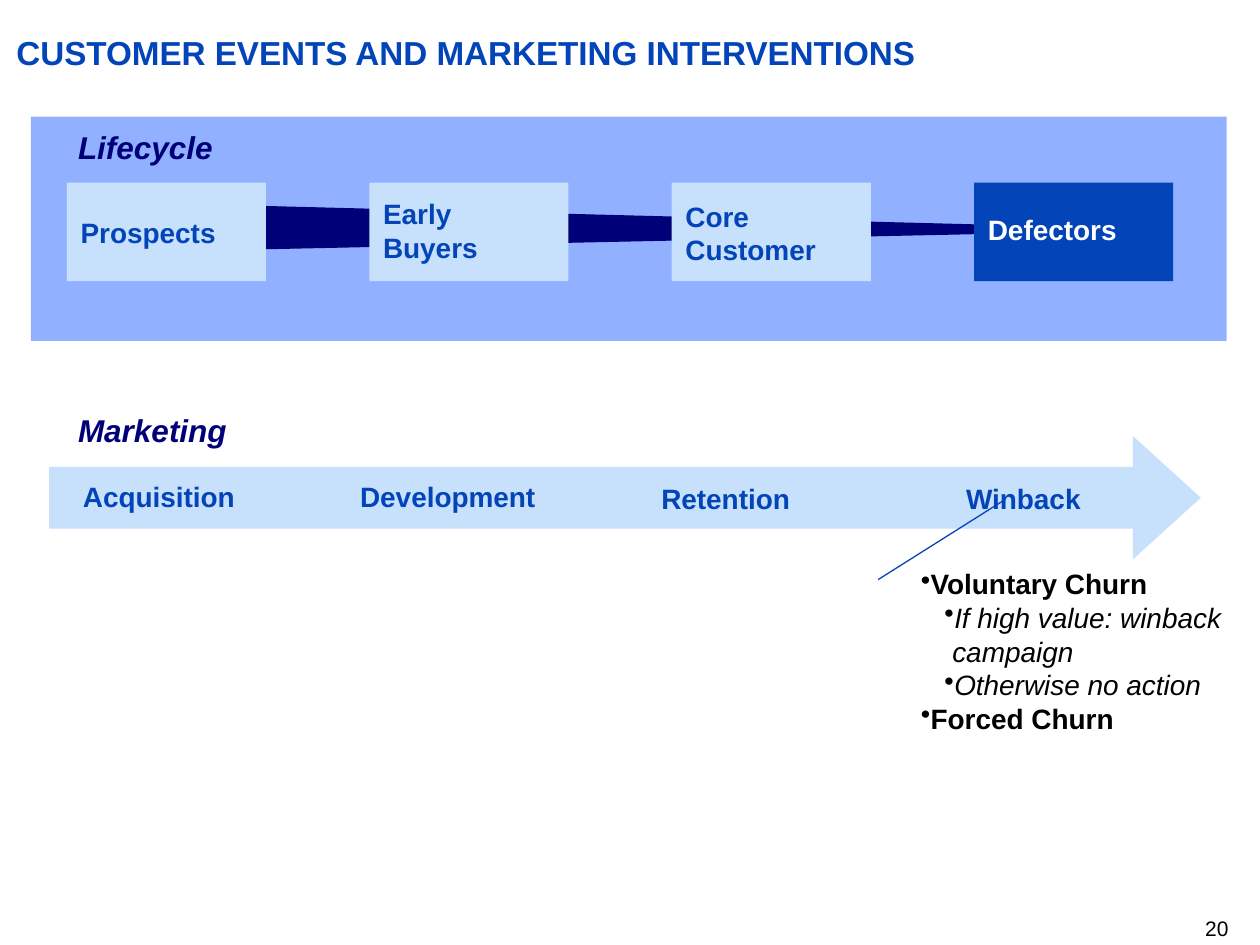
from dataclasses import dataclass
from typing import NamedTuple

from lxml import etree
from pptx import Presentation
from pptx.dml.color import RGBColor
from pptx.enum.shapes import MSO_CONNECTOR, MSO_SHAPE
from pptx.enum.text import MSO_ANCHOR, MSO_AUTO_SIZE, PP_ALIGN
from pptx.oxml.ns import qn
from pptx.util import Pt

RECTANGLE = MSO_SHAPE.RECTANGLE
TRIANGLE = MSO_SHAPE.ISOSCELES_TRIANGLE
RIGHT_ARROW = MSO_SHAPE.RIGHT_ARROW
STRAIGHT = MSO_CONNECTOR.STRAIGHT
TOP = MSO_ANCHOR.TOP
FIT_SHAPE = MSO_AUTO_SIZE.SHAPE_TO_FIT_TEXT
LEFT, RIGHT = PP_ALIGN.LEFT, PP_ALIGN.RIGHT
TITLE_ONLY = 5


@dataclass(frozen=True)
class Theme:
    font: str = "Arial"
    blue: str = "0344B9"
    navy: str = "000078"
    pale: str = "C7E0FB"
    panel: str = "91B0FF"
    white: str = "FFFFFF"
    black: str = "000000"
    title_size: float = 19
    heading_size: float = 18
    body_size: float = 16
    number_size: float = 12
    line_width: float = 0.75


THEME = Theme()


class Box(NamedTuple):
    left: float
    top: float
    width: float
    height: float

    def lengths(self) -> tuple:
        return tuple(Pt(value) for value in self)


class Stage(NamedTuple):
    text: str
    label_top: float
    fill: str = THEME.pale
    color: str = THEME.blue


class Activity(NamedTuple):
    text: str
    box: Box


class Bullet(NamedTuple):
    text: str
    indent: float
    bold: bool = False
    italic: bool = False


STAGE_BOX = Box(38.2, 104.4, 113.8, 56.2)
STAGE_PITCH = 172.8
LABEL_INSET = 7.9
STAGES = [
    Stage("Prospects", 123.1),
    Stage("Early \vBuyers", 112.3),
    Stage("Core Customer", 113.8),
    Stage("Defectors", 121.7, THEME.blue, THEME.white),
]
HEADINGS = {"Lifecycle": 73.4, "Marketing": 234.7}
ACTIVITIES = [
    Activity("Acquisition", Box(40.3, 270.7, 110.2, 26.6)),
    Activity("Development", Box(198.7, 270.7, 139, 26.6)),
    Activity("Retention", Box(370.8, 271.6, 139, 26.6)),
    Activity("Winback", Box(545, 271.6, 139, 26.6)),
]
BULLET_HANG = 4.5
BULLETS = [
    Bullet("Voluntary Churn", 4.5, bold=True),
    Bullet("If high value: winback campaign", 18, italic=True),
    Bullet("Otherwise no action", 18, italic=True),
    Bullet("Forced Churn", 4.5, bold=True),
]


def write(paragraph, text: str, *, size: float = THEME.body_size, color: str = THEME.blue,
          bold: bool = True, italic: bool = False, align=LEFT) -> None:
    paragraph.text = text
    paragraph.alignment = align
    for run in paragraph.runs:
        font = run.font
        font.name, font.size = THEME.font, Pt(size)
        font.bold, font.italic = bold, italic
        font.color.rgb = RGBColor.from_string(color)


def prepare_frame(shape, padded: bool = False):
    """Wrap and top-align the text; only padded frames keep default margins."""
    frame = shape.text_frame
    frame.word_wrap = True
    frame.auto_size = FIT_SHAPE
    frame.vertical_anchor = TOP
    if not padded:
        frame.margin_left = frame.margin_right = frame.margin_top = frame.margin_bottom = 0
    return frame


def add_text(slide, box: Box, text: str, padded: bool = False, **text_format) -> None:
    frame = prepare_frame(slide.shapes.add_textbox(*box.lengths()), padded)
    write(frame.paragraphs[0], text, **text_format)


def add_filled(slide, kind, box: Box, fill: str):
    shape = slide.shapes.add_shape(kind, *box.lengths())
    shape.shadow.inherit = False
    shape.fill.solid()
    shape.fill.fore_color.rgb = RGBColor.from_string(fill)
    shape.line.fill.background()
    return shape


def add_title(slide, text: str) -> None:
    title = slide.shapes.title
    title.left, title.top, title.width, title.height = Box(9.4, 18.7, 692.6, 23).lengths()
    write(prepare_frame(title).paragraphs[0], text, size=THEME.title_size)


def add_funnel(slide) -> None:
    """Add the narrowing wedge that runs behind the lifecycle stages."""
    funnel = add_filled(slide, TRIANGLE, Box(356.4, -160.6, 27.4, 581), THEME.navy)
    funnel.rotation = 90
    funnel.adjustments[0] = 0.55
    funnel.line.color.rgb = RGBColor.from_string(THEME.navy)
    funnel.line.width = Pt(THEME.line_width)


def add_stage(slide, index: int, stage: Stage) -> None:
    box = STAGE_BOX._replace(left=STAGE_BOX.left + index * STAGE_PITCH)
    add_filled(slide, RECTANGLE, box, stage.fill)
    label_box = Box(box.left + LABEL_INSET, stage.label_top, 99.4, 19.4)
    add_text(slide, label_box, stage.text, color=stage.color)


def add_bullets(slide, box: Box, bullets: list[Bullet]) -> None:
    frame = prepare_frame(slide.shapes.add_textbox(*box.lengths()), padded=True)
    for index, bullet in enumerate(bullets):
        paragraph = frame.add_paragraph() if index else frame.paragraphs[0]
        write(paragraph, bullet.text, color=THEME.black, bold=bullet.bold, italic=bullet.italic)
        properties = paragraph._p.get_or_add_pPr()
        properties.set("marL", str(Pt(bullet.indent)))
        properties.set("indent", str(Pt(-BULLET_HANG)))
        etree.SubElement(properties, qn("a:buChar")).set("char", "•")


def add_callout_line(slide) -> None:
    line = slide.shapes.add_connector(STRAIGHT, Pt(573.8), Pt(285.8), Pt(501.8), Pt(331.2))
    line.line.color.rgb = RGBColor.from_string(THEME.blue)
    line.line.width = Pt(THEME.line_width)
    etree.SubElement(line._element.spPr, qn("a:effectLst"))


def main() -> None:
    presentation = Presentation()
    presentation.slide_width, presentation.slide_height = Pt(720), Pt(540)
    slide = presentation.slides.add_slide(presentation.slide_layouts[TITLE_ONLY])

    add_title(slide, "CUSTOMER EVENTS AND MARKETING INTERVENTIONS")
    arrow = add_filled(slide, RIGHT_ARROW, Box(28.1, 249.1, 658.1, 70.6), THEME.pale)
    arrow.adjustments[1] = 0.55
    add_text(slide, Box(552.2, 523.4, 149.8, 14.4), "20", size=THEME.number_size,
             color=THEME.black, bold=False, align=RIGHT)
    add_filled(slide, RECTANGLE, Box(17.6, 66.6, 683.3, 128.2), THEME.panel)
    add_funnel(slide)
    for index, stage in enumerate(STAGES):
        add_stage(slide, index, stage)
    for heading, top in HEADINGS.items():
        add_text(slide, Box(44.6, top, 198, 21.6), heading, size=THEME.heading_size,
                 color=THEME.navy, italic=True)
    for activity in ACTIVITIES:
        add_text(slide, activity.box, activity.text, padded=True)
    add_bullets(slide, Box(519.1, 320.4, 187.2, 133.2), BULLETS)
    add_callout_line(slide)

    presentation.save("out.pptx")


if __name__ == "__main__":
    main()
